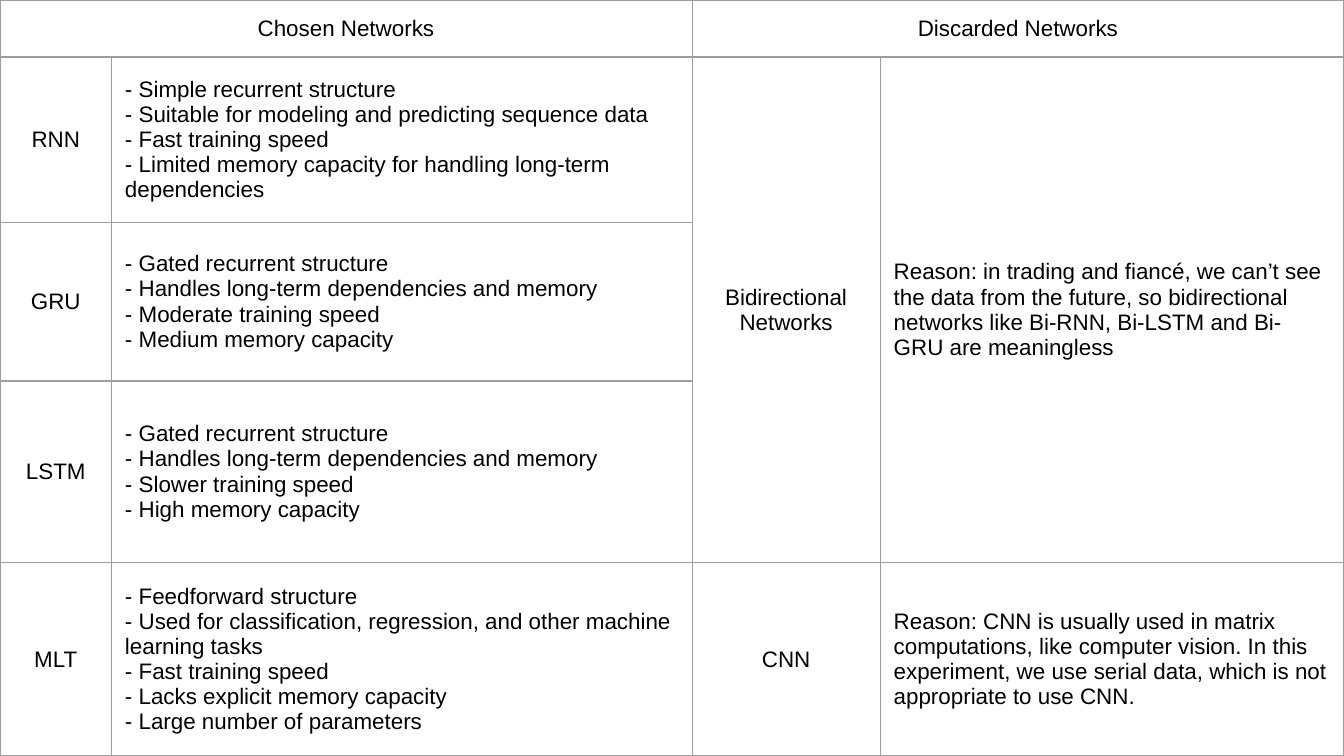
import pptx
import pptx.dml.color
import pptx.enum.text
import pptx.oxml
import pptx.oxml.ns
import pptx.util

PX = 4572
HUES = {"text": "000000", "fill": "FFFFFF", "line": "9E9E9E"}
COLS = [166, 864, 280, 690]
ROWS = [85, 246, 236, 270, 288]
PAD = 20
ALIGN = pptx.enum.text.PP_ALIGN

TEXTS = {
    (0, 0): ["Chosen Networks"],
    (0, 2): ["Discarded Networks"],
    (1, 0): ["RNN"],
    (1, 1): [
        "- Simple recurrent structure",
        "- Suitable for modeling and predicting sequence data",
        "- Fast training speed",
        "- Limited memory capacity for handling long-term dependencies",
    ],
    (1, 2): ["Bidirectional Networks"],
    (1, 3): [
        "Reason: in trading and fiancé, we can’t see the data from the future, "
        "so bidirectional networks like Bi-RNN, Bi-LSTM and Bi-GRU are meaningless"
    ],
    (2, 0): ["GRU"],
    (2, 1): [
        "- Gated recurrent structure",
        "- Handles long-term dependencies and memory",
        "- Moderate training speed",
        "- Medium memory capacity",
    ],
    (3, 0): ["LSTM"],
    (3, 1): [
        "- Gated recurrent structure",
        "- Handles long-term dependencies and memory",
        "- Slower training speed",
        "- High memory capacity",
    ],
    (4, 0): ["MLT"],
    (4, 1): [
        "- Feedforward structure",
        "- Used for classification, regression, and other machine learning tasks",
        "- Fast training speed",
        "- Lacks explicit memory capacity",
        "- Large number of parameters",
    ],
    (4, 2): ["CNN"],
    (4, 3): [
        "Reason: CNN is usually used in matrix computations, like computer vision. "
        "In this experiment, we use serial data, which is not appropriate to use CNN."
    ],
}
SPANS = [((0, 0), (0, 1)), ((0, 2), (0, 3)), ((1, 2), (3, 2)), ((1, 3), (3, 3))]

CELL = {
    "margin_left": PAD * PX,
    "margin_right": PAD * PX,
    "margin_top": PAD * PX,
    "margin_bottom": PAD * PX,
    "vertical_anchor": pptx.enum.text.MSO_ANCHOR.MIDDLE,
}
FONT = {"name": "Arial", "size": pptx.util.Pt(12), "bold": False}
PLAIN = {"first_row": False, "horz_banding": False}


def apply(item, style):
    for key, value in style.items():
        setattr(item, key, value)


def tint(name):
    return pptx.dml.color.RGBColor.from_string(HUES[name])


def frame(cell):
    props = cell._tc.get_or_add_tcPr()
    for side in ("lnL", "lnR", "lnT", "lnB"):
        props.append(pptx.oxml.parse_xml(
            f'<a:{side} {pptx.oxml.ns.nsdecls("a")} w="{pptx.util.Pt(0.75)}">'
            f'<a:solidFill><a:srgbClr val="{HUES["line"]}"/></a:solidFill>'
            f'</a:{side}>'
        ))


def write(cell, lines, align):
    cell.text = "\n".join(lines)
    for para in cell.text_frame.paragraphs:
        para.alignment = align
        for run in para.runs:
            apply(run.font, FONT)
            run.font.color.rgb = tint("text")


def build_grid(slide, left, top, width, height):
    box = [n * PX for n in (left, top, width, height)]
    grid = slide.shapes.add_table(len(ROWS), len(COLS), *box).table
    apply(grid, PLAIN)
    for col, size in zip(grid.columns, COLS):
        col.width = round(size * width / sum(COLS)) * PX
    for row, size in zip(grid.rows, ROWS):
        row.height = round(size * height / sum(ROWS)) * PX
    for cell in grid.iter_cells():
        apply(cell, CELL)
        frame(cell)
        cell.fill.solid()
        cell.fill.fore_color.rgb = tint("fill")
    for first, last in SPANS:
        grid.cell(*first).merge(grid.cell(*last))
    for (row, col), lines in TEXTS.items():
        label = row == 0 or col % 2 == 0
        write(grid.cell(row, col), lines, ALIGN.CENTER if label else ALIGN.LEFT)


def main():
    deck = pptx.Presentation()
    wide, high = sum(COLS), sum(ROWS)
    apply(deck, {"slide_width": wide * PX, "slide_height": high * PX})
    slide = deck.slides.add_slide(deck.slide_layouts[6])
    build_grid(slide, 0, 0, wide, high)
    deck.save("out.pptx")


if __name__ == "__main__":
    main()
